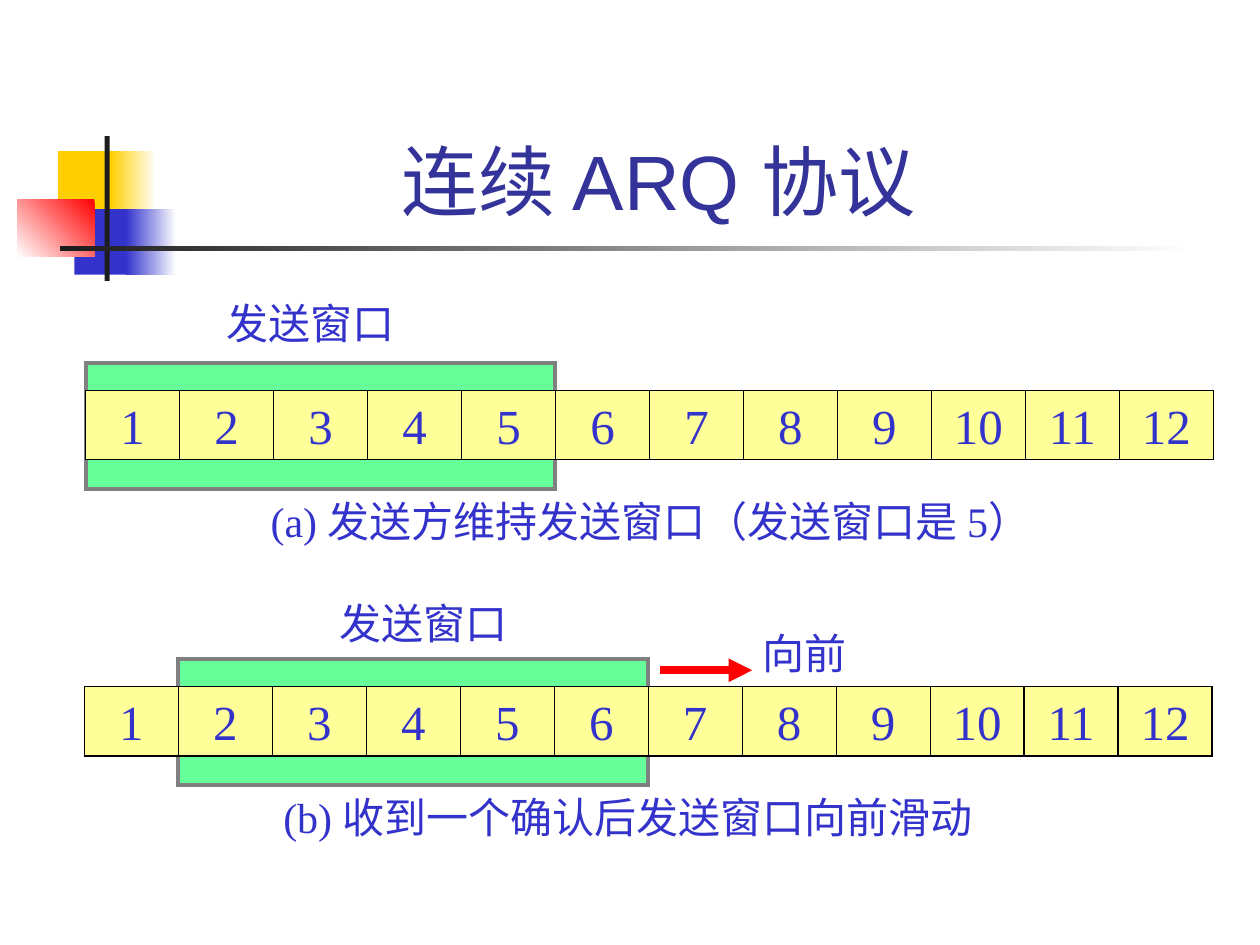
"""Build a slide on the sliding send window of continuous ARQ."""
from lxml.etree import SubElement as Sub
from pptx import Presentation
from pptx.dml.color import RGBColor as RGB
from pptx.enum.shapes import MSO_CONNECTOR as Link, MSO_SHAPE as Shape
from pptx.enum.text import MSO_ANCHOR as Anchor, MSO_AUTO_SIZE as Fit, PP_ALIGN as Align
from pptx.oxml.ns import qn
from pptx.util import Inches, Pt

BLUE, BLACK, WHITE = "3333CC", "000000", "FFFFFF"
TITLE = ("连续 ARQ 协议 ", (1.26, 0.24, 8.07, 1.6))
DECOR = [
    ((0.46, 1.2, 0.48, 0.52), "FFCF01", None, None),
    ((0.88, 1.2, 0.36, 0.52), WHITE, "FFCF01", 180),
    ((0.59, 1.66, 0.46, 0.52), BLUE, None, None),
    ((1, 1.66, 0.4, 0.52), WHITE, BLUE, 180),
    ((0.14, 1.58, 0.61, 0.46), "FF0000", WHITE, 225),
    ((0.83, 1.08, 0.04, 1.15), "1C1C1C", None, None),
    ((0.48, 1.95, 9, 0.04), WHITE, "1C1C1C", 180),
]
ROWS = [
    {"left": 0.68, "top": 3.1, "first": 0, "group": False, "arrow": None,
     "notes": [("(a) 发送方维持发送窗口（发送窗口是 5）", (2.05, 3.88, 6.47, 0.5)),
               ("发送窗口", (1.7, 2.31, 1.53, 0.5))]},
    {"left": 0.67, "top": 5.45, "first": 1, "group": True,
     "arrow": (5.24, 5.32, 5.97, 5.32),
     "notes": [("(b) 收到一个确认后发送窗口向前滑动", (2.15, 6.23, 5.8, 0.5)),
               ("向前", (5.95, 4.93, 1, 0.5)),
               ("发送窗口", (2.6, 4.69, 1.6, 0.5))]},
]
COUNT, SIZE = 12, 5
WIDE, HIGH = 8.95, 0.55
STEP = WIDE / COUNT
RISE, TALL = 0.22, 1
HEAD = {"size": Pt(44), "name": "Arial"}
CELL = {"size": Pt(28), "name": "Times New Roman"}
NOTE = {"size": Pt(24), "name": "Times New Roman"}
MID = {"word_wrap": False, "vertical_anchor": Anchor.MIDDLE}
LOW = {"word_wrap": True, "vertical_anchor": Anchor.BOTTOM}
GROW = {"word_wrap": False, "auto_size": Fit.SHAPE_TO_FIT_TEXT}


def color(code):
    return RGB.from_string(code)


def apply(item, values):
    for name, value in values.items():
        setattr(item, name, value)


def stroke(item, code, width):
    item.line.color.rgb = color(code)
    item.line.width = Pt(width)
    Sub(item._element.spPr.find(qn("a:ln")), qn("a:miter"), lim="800000")


def box(host, at, code, end=None, angle=None):
    item = host.add_shape(Shape.RECTANGLE, *map(Inches, at))
    item.shadow.inherit = False
    item.line.fill.background()
    if end:
        item.fill.gradient()
        item.fill.gradient_angle = angle
        for stop, tone in zip(item.fill.gradient_stops, (code, end)):
            stop.color.rgb = color(tone)
    else:
        item.fill.solid()
        item.fill.fore_color.rgb = color(code)
    return item


def label(host, text, at, font, frame, align=Align.LEFT, code=BLUE):
    body = host.add_textbox(*map(Inches, at)).text_frame
    apply(body, frame)
    para = body.paragraphs[0]
    para.alignment = align
    run = para.add_run()
    run.text = text
    apply(run.font, font)
    run.font.color.rgb = color(code)


def rule(host, ends, code, width, head=False):
    item = host.add_connector(Link.STRAIGHT, *map(Inches, ends))
    stroke(item, code, width)
    props = item._element.spPr
    if head:
        Sub(props.find(qn("a:ln")), qn("a:tailEnd"), type="triangle")
    Sub(props, qn("a:effectLst"))


def draw_row(shapes, row):
    host = shapes.add_group_shape().shapes if row["group"] else shapes
    left, top = row["left"], row["top"]
    start = left + row["first"] * STEP
    stroke(box(host, (start, top - RISE, SIZE * STEP, TALL), "66FF99"), "808080", 2.25)
    stroke(box(host, (left, top, WIDE, HIGH), "FFFF99"), BLACK, 0.75)
    for n in range(COUNT):
        x = left + n * STEP
        label(host, str(n + 1), (x, top, STEP, HIGH), CELL, MID, Align.CENTER)
        if n:
            rule(host, (x, top, x, top + HIGH), BLACK, 0.75)
    for text, at in row["notes"]:
        label(host, text, at, NOTE, GROW)
    if row["arrow"]:
        rule(host, row["arrow"], "FF0000", 4.5, True)


def main():
    deck = Presentation()
    apply(deck, {"slide_width": Inches(10), "slide_height": Inches(7.5)})
    shapes = deck.slides.add_slide(deck.slide_layouts[6]).shapes
    for part in DECOR:
        box(shapes, *part)
    label(shapes, *TITLE, HEAD, LOW, Align.CENTER, "333399")
    for row in ROWS:
        draw_row(shapes, row)
    deck.save("out.pptx")


if __name__ == "__main__":
    main()
